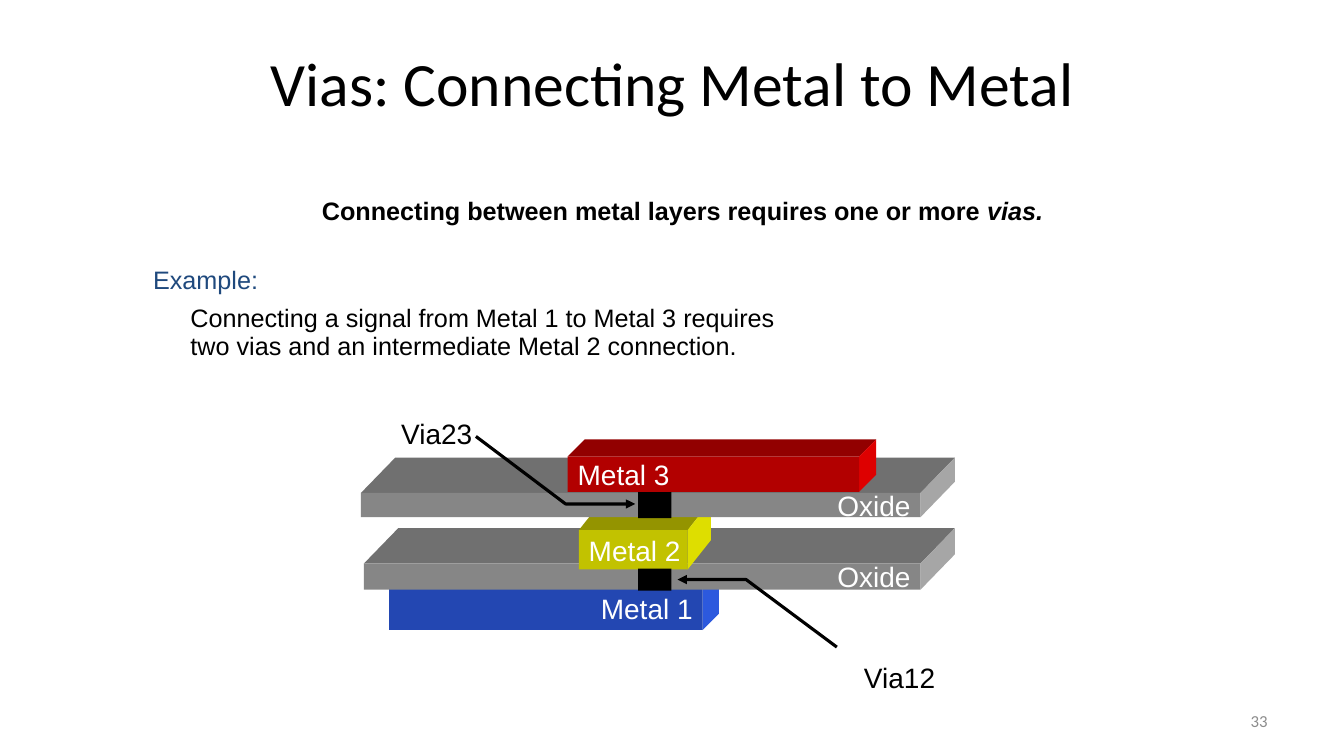
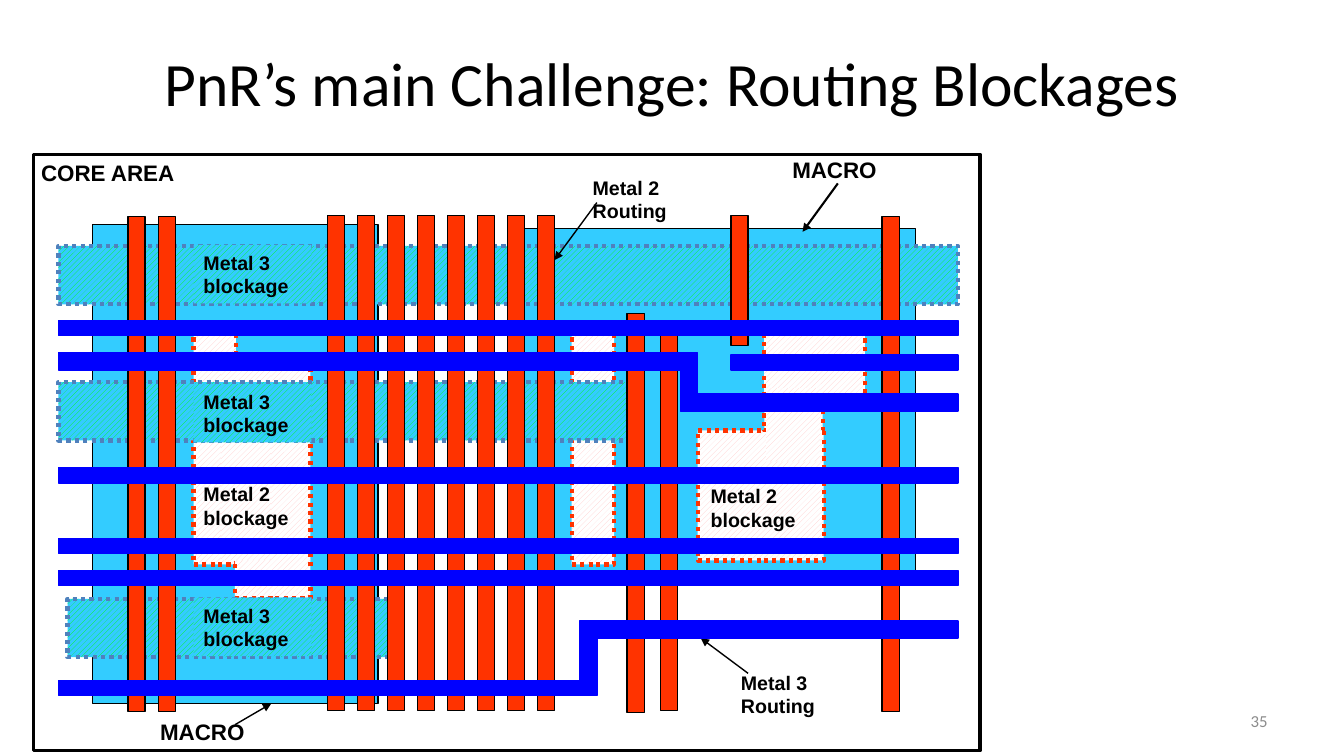
from lxml import etree
from pptx import Presentation
from pptx.dml.color import RGBColor
from pptx.enum.dml import MSO_LINE, MSO_PATTERN
from pptx.enum.shapes import MSO_CONNECTOR, MSO_SHAPE
from pptx.enum.text import MSO_ANCHOR, MSO_AUTO_SIZE, PP_ALIGN
from pptx.oxml.ns import qn
from pptx.util import Inches, Pt

BLACK = RGBColor(0x00, 0x00, 0x00)
WHITE = RGBColor(0xFF, 0xFF, 0xFF)
GRAY = RGBColor(0x8C, 0x8C, 0x8C)
NAVY = RGBColor(0x1F, 0x49, 0x7D)
MACRO_CYAN = RGBColor(0x33, 0xCC, 0xFF)
ROUTE_RED = RGBColor(0xFF, 0x33, 0x00)
ROUTE_BLUE = RGBColor(0x00, 0x00, 0xFF)
HATCH_PINK = RGBColor(0xFF, 0xCC, 0xCC)
HATCH_GREEN = RGBColor(0x00, 0xFF, 0x00)
BORDER_BLUE = RGBColor(0x4F, 0x81, 0xBD)

# front, top and side shades of each layer
OXIDE = (RGBColor(0x86, 0x86, 0x86), RGBColor(0x70, 0x70, 0x70), RGBColor(0xA6, 0xA6, 0xA6))
METAL_1 = (RGBColor(0x23, 0x47, 0xB2), RGBColor(0x1D, 0x3A, 0x92), RGBColor(0x2C, 0x59, 0xDE))
METAL_2 = (RGBColor(0xC2, 0xC2, 0x00), RGBColor(0x94, 0x94, 0x00), RGBColor(0xDE, 0xDE, 0x00))
METAL_3 = (RGBColor(0xB2, 0x00, 0x00), RGBColor(0x92, 0x00, 0x00), RGBColor(0xDE, 0x00, 0x00))


def style_font(font, size, color, bold=False, name="Arial"):
    """Set the face, size, colour and weight of a font."""
    font.name, font.size, font.bold = name, Pt(size), bold
    font.color.rgb = color


def write(shape, text, size, color=BLACK, bold=False, align=PP_ALIGN.LEFT,
          anchor=MSO_ANCHOR.TOP, wrap=True, name="Arial"):
    """Put one styled paragraph into a shape."""
    frame = shape.text_frame
    frame.word_wrap = wrap
    frame.vertical_anchor = anchor
    paragraph = frame.paragraphs[0]
    paragraph.text = text
    paragraph.alignment = align
    style_font(paragraph.font, size, color, bold, name)


def add_label(slide, box, text, size, **style):
    """Add a text box holding one paragraph."""
    shape = slide.shapes.add_textbox(*map(Inches, box))
    write(shape, text, size, **style)
    if not shape.text_frame.word_wrap:
        shape.text_frame.auto_size = MSO_AUTO_SIZE.SHAPE_TO_FIT_TEXT
    return shape


def set_outline(shape, color=None, width=1):
    """Outline a shape, or remove its outline when no colour is given."""
    if color is None:
        shape.line.fill.background()
    else:
        shape.line.color.rgb = color
        shape.line.width = Pt(width)


def add_box(slide, box, fill=None, line=None, width=1):
    """Add a plain rectangle."""
    shape = slide.shapes.add_shape(MSO_SHAPE.RECTANGLE, *map(Inches, box))
    shape.shadow.inherit = False
    if fill is None:
        shape.fill.background()
    else:
        shape.fill.solid()
        shape.fill.fore_color.rgb = fill
    set_outline(shape, line, width)
    return shape


def add_hatch(slide, box, stripe, ground, line=None):
    """Add a diagonally hatched rectangle with an optional dotted border."""
    shape = add_box(slide, box, ground, line, 3)
    shape.fill.patterned()
    shape.fill.pattern = MSO_PATTERN.WIDE_UPWARD_DIAGONAL
    shape.fill.fore_color.rgb = stripe
    shape.fill.back_color.rgb = ground
    if line is not None:
        shape.line.dash_style = MSO_LINE.ROUND_DOT
    return shape


def add_arrowhead(shape):
    """End the line of a shape with a triangle."""
    etree.SubElement(shape.line._get_or_add_ln(), qn("a:tailEnd"), type="triangle")


def add_arrow(slide, start, end, width=1):
    """Add a straight black arrow."""
    arrow = slide.shapes.add_connector(MSO_CONNECTOR.STRAIGHT, *map(Inches, start + end))
    set_outline(arrow, BLACK, width)
    add_arrowhead(arrow)
    etree.SubElement(arrow._element.spPr, qn("a:effectLst"))


def add_path(slide, points, close):
    """Add a freeform through points given in inches."""
    corners = [(Inches(x), Inches(y)) for x, y in points]
    builder = slide.shapes.build_freeform(*corners[0])
    builder.add_line_segments(corners[1:], close=close)
    shape = builder.convert_to_shape()
    shape.shadow.inherit = False
    return shape


def add_bent_arrow(slide, points):
    """Add a black arrow with a corner."""
    arrow = add_path(slide, points, close=False)
    arrow.fill.background()
    set_outline(arrow, BLACK, 2.25)
    add_arrowhead(arrow)


def add_slab(slide, box, depth, shades, text, align=PP_ALIGN.LEFT):
    """Add a labelled bar with visible top and side faces."""
    left, top, width, height = box
    right, bottom = left + width, top + height
    dx, dy = depth
    front, top_shade, side_shade = shades
    faces = (
        (top_shade, [(left, top), (left + dx, top - dy), (right + dx, top - dy), (right, top)]),
        (side_shade, [(right, top), (right + dx, top - dy), (right + dx, bottom - dy), (right, bottom)]),
    )
    for shade, points in faces:
        face = add_path(slide, points, close=True)
        face.fill.solid()
        face.fill.fore_color.rgb = shade
        set_outline(face)
    write(add_box(slide, box, front), text, 20, WHITE, align=align,
          anchor=MSO_ANCHOR.MIDDLE, wrap=False)


def add_titled_slide(presentation, title, number):
    """Add a slide with its title and page number."""
    slide = presentation.slides.add_slide(presentation.slide_layouts[5])
    shape = slide.shapes.title
    shape.left, shape.top, shape.width, shape.height = map(Inches, (0.92, 0.4, 11.5, 1.45))
    write(shape, title, 44, align=PP_ALIGN.CENTER, name="Calibri")
    shape.text_frame.auto_size = MSO_AUTO_SIZE.NONE
    add_label(slide, (9.56, 6.95, 3.11, 0.4), number, 12, color=GRAY,
              align=PP_ALIGN.RIGHT, anchor=MSO_ANCHOR.MIDDLE, name="Calibri")
    return slide


def add_via_text(slide):
    """Add the statement and example about vias."""
    frame = add_label(slide, (0.92, 1.92, 11.5, 2.12),
                      "Connecting between metal layers requires one or more ",
                      18, bold=True, align=PP_ALIGN.CENTER).text_frame
    statement = frame.paragraphs[0]
    run = statement.add_run()
    run.text = "vias."
    run.font.italic = True
    statement.line_spacing = 0.9
    statement._p.get_or_add_pPr().set("marL", str(Inches(0.2)))
    example = "Connecting a signal from Metal 1 to Metal 3 requires\vtwo vias and an intermediate Metal 2 connection."
    for text, color, indent, before in (("Example:", NAVY, 0.5, 30), (example, BLACK, 0.87, 8)):
        paragraph = frame.add_paragraph()
        paragraph.text = text
        paragraph.line_spacing = 0.9
        paragraph.space_before = Pt(before)
        paragraph._p.get_or_add_pPr().set("marL", str(Inches(indent)))
        style_font(paragraph.font, 18, color)


def build_vias(presentation):
    """Build the slide on vias between metal layers."""
    slide = add_titled_slide(presentation, "Vias: Connecting Metal to Metal", "33")
    add_via_text(slide)
    add_slab(slide, (3.86, 5.82, 3.11, 0.43), (0.16, 0.16), METAL_1, "Metal 1", PP_ALIGN.RIGHT)
    add_slab(slide, (3.61, 5.59, 5.52, 0.26), (0.34, 0.35), OXIDE, "Oxide", PP_ALIGN.RIGHT)
    add_slab(slide, (5.74, 5.26, 1.08, 0.39), (0.23, 0.29), METAL_2, "Metal 2")
    add_box(slide, (6.33, 5.64, 0.33, 0.22), BLACK)
    add_slab(slide, (3.58, 4.89, 5.55, 0.24), (0.34, 0.35), OXIDE, "Oxide", PP_ALIGN.RIGHT)
    add_box(slide, (6.33, 4.79, 0.33, 0.35), BLACK)
    add_slab(slide, (5.63, 4.53, 2.89, 0.35), (0.17, 0.17), METAL_3, "Metal 3")
    add_label(slide, (3.88, 4.08, 0.91, 0.43), "Via23", 20, wrap=False)
    add_label(slide, (8.47, 6.5, 0.91, 0.43), "Via12", 20, wrap=False)
    add_bent_arrow(slide, [(4.72, 4.33), (5.61, 5), (6.3, 5)])
    add_bent_arrow(slide, [(8.3, 6.42), (7.4, 5.75), (6.72, 5.75)])


def add_note(slide, left, top, text):
    """Add a small bold label that wraps onto two lines."""
    add_label(slide, (left, top, 1.17, 0.57), text, 14, bold=True, anchor=MSO_ANCHOR.MIDDLE)


def add_blockages(slide):
    """Add the hatched metal 2 and metal 3 blockages."""
    metal_2_areas = (
        ((5.67, 3.27, 0.42, 2.33), ROUTE_RED), ((1.92, 3.27, 0.42, 2.33), ROUTE_RED),
        ((2.33, 3.6, 0.75, 2.33), ROUTE_RED), ((2.19, 3.62, 0.5, 1.94), None),
        ((6.92, 4.27, 1.25, 1.29), ROUTE_RED), ((7.58, 3.27, 1, 0.75), ROUTE_RED),
        ((7.58, 4.02, 0.58, 0.25), ROUTE_RED), ((7.6, 3.85, 0.54, 0.73), None),
    )
    for box, line in metal_2_areas:
        add_hatch(slide, box, HATCH_PINK, WHITE, line)
    add_note(slide, 1.92, 4.73, "Metal 2 blockage")
    add_note(slide, 6.95, 4.75, "Metal 2 blockage")
    for left, top, width in ((0.67, 5.94, 3.25), (0.58, 3.79, 5.75), (0.58, 2.44, 8.92)):
        add_hatch(slide, (left, top, width, 0.58), HATCH_GREEN, MACRO_CYAN, BORDER_BLUE)
    for top in (5.93, 2.43, 3.81):
        patch = add_hatch(slide, (1.92, top, 1.17, 0.58), HATCH_GREEN, MACRO_CYAN)
        write(patch, "Metal 3 blockage", 14, bold=True, anchor=MSO_ANCHOR.MIDDLE)


def add_routing(slide):
    """Add the vertical metal 2 and horizontal metal 3 wires."""
    add_note(slide, 5.78, 1.69, "Metal 2 Routing")
    add_arrow(slide, (5.92, 2.01), (5.5, 2.58))
    metal_2_wires = [(3.25 + 0.297 * i, 2.14, 4.91) for i in range(8)]
    metal_2_wires += [(left, 2.15, 4.91) for left in (8.75, 1.27, 1.57)]
    metal_2_wires += [(6.22, 3.11, 3.96), (6.55, 3.26, 3.79), (7.25, 2.14, 1.29)]
    for left, top, height in metal_2_wires:
        add_box(slide, (left, top, 0.17, height), ROUTE_RED, BLACK)

    add_note(slide, 7.25, 6.6, "Metal 3 Routing")
    add_arrow(slide, (7.42, 6.68), (6.95, 6.33))
    metal_3_wires = [(0.58, top, 8.92, 0.15) for top in (3.18, 4.64, 5.34, 5.66)]
    metal_3_wires += [
        (0.58, 6.75, 5.33, 0.15), (5.75, 6.16, 0.17, 0.74), (5.92, 6.16, 3.58, 0.17),
        (0.58, 3.5, 6.33, 0.17), (6.75, 3.5, 0.17, 0.58), (6.92, 3.91, 2.58, 0.17),
        (7.25, 3.52, 2.25, 0.15),
    ]
    for box in metal_3_wires:
        add_box(slide, box, ROUTE_BLUE, ROUTE_BLUE)


def build_blockages(presentation):
    """Build the slide on routing blockages."""
    slide = add_titled_slide(presentation, "PnR’s main Challenge: Routing Blockages", "35")
    for box in ((0.92, 2.23, 2.83, 4.75), (5.08, 2.27, 4, 3.5)):
        add_box(slide, box, MACRO_CYAN, BLACK)
    add_label(slide, (1.49, 7.08, 1.04, 0.37), "MACRO", 16, bold=True, wrap=False)
    add_arrow(slide, (2.33, 7.19), (2.69, 6.98))
    add_blockages(slide)
    add_routing(slide)
    add_label(slide, (7.76, 1.5, 1.04, 0.37), "MACRO", 16, bold=True, wrap=False)
    add_arrow(slide, (8.31, 1.82), (7.96, 2.3), 1.5)
    add_box(slide, (0.33, 1.53, 9.39, 5.92), line=BLACK, width=2.25)
    add_label(slide, (0.31, 1.53, 1.53, 0.37), "CORE AREA", 16, bold=True, wrap=False)


def main():
    """Build and save the presentation."""
    presentation = Presentation()
    presentation.slide_width, presentation.slide_height = Inches(13.33), Inches(7.5)
    build_vias(presentation)
    build_blockages(presentation)
    presentation.save("out.pptx")


if __name__ == "__main__":
    main()
